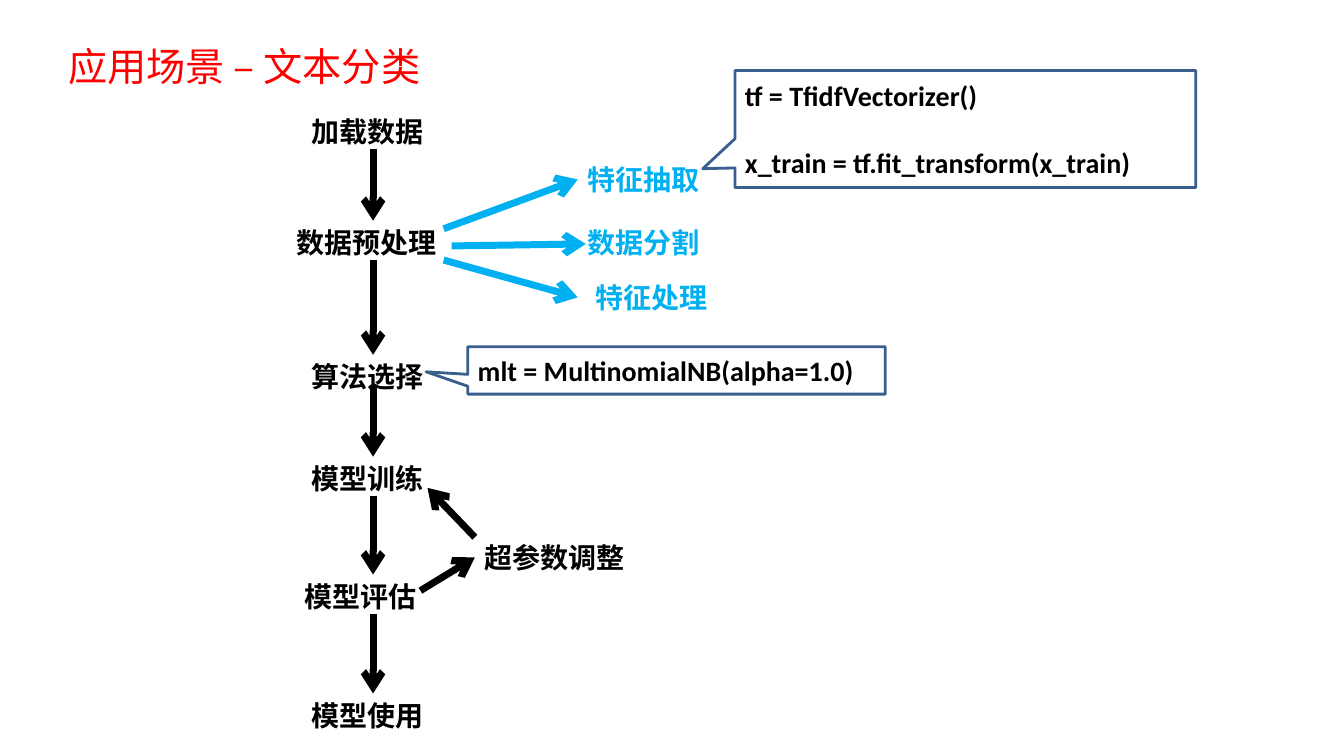
from lxml import etree
from pptx import Presentation
from pptx.dml.color import RGBColor
from pptx.enum.shapes import MSO_CONNECTOR, MSO_SHAPE
from pptx.enum.text import MSO_ANCHOR, MSO_AUTO_SIZE, PP_ALIGN
from pptx.oxml.ns import qn
from pptx.util import Inches, Pt

STRAIGHT = MSO_CONNECTOR.STRAIGHT
CALLOUT = MSO_SHAPE.RECTANGULAR_CALLOUT
MIDDLE = MSO_ANCHOR.MIDDLE
GROW = MSO_AUTO_SIZE.SHAPE_TO_FIT_TEXT
LEFT = PP_ALIGN.LEFT

BLACK = RGBColor(0, 0, 0)
WHITE = RGBColor(255, 255, 255)
RED = RGBColor(255, 0, 0)
SKY = RGBColor(0, 0xB0, 0xF0)
NAVY = RGBColor(0x3A, 0x5F, 0x8C)


class Board:
    def __init__(self, slide):
        self.shapes = slide.shapes
        self.face = "Calibri"
        self.size = 20

    def fill_text(self, para, text, color, size, face, bold):
        para.text = text
        para.alignment = LEFT
        font = para.font
        font.name, font.size, font.bold = face, Pt(size), bold
        font.color.rgb = color

    def label(self, text, x, y, w, color=BLACK, h=0.44, size=None, face=None, bold=True):
        box = self.shapes.add_textbox(Inches(x), Inches(y), Inches(w), Inches(h))
        frame = box.text_frame
        frame.word_wrap = False
        frame.auto_size = GROW
        self.fill_text(frame.paragraphs[0], text, color, size or self.size,
                       face or self.face, bold)

    def arrow(self, start, end, color=BLACK):
        link = self.shapes.add_connector(STRAIGHT, *map(Inches, start + end))
        link.line.color.rgb = color
        link.line.width = Pt(5)
        props = link._element.spPr
        etree.SubElement(props.find(qn("a:ln")), qn("a:tailEnd"), type="arrow")
        etree.SubElement(props, qn("a:effectLst"))

    def callout(self, lines, x, y, w, h, tip, gap=0):
        """Draw code in a callout; tip is its pointer's offset from the centre."""
        box = self.shapes.add_shape(CALLOUT, Inches(x), Inches(y), Inches(w), Inches(h))
        box.adjustments[0], box.adjustments[1] = tip
        box.shadow.inherit = False
        box.fill.solid()
        box.fill.fore_color.rgb = WHITE
        box.line.color.rgb = NAVY
        box.line.width = Pt(2)
        frame = box.text_frame
        frame.word_wrap = True
        frame.vertical_anchor = MIDDLE
        for i, text in enumerate(lines):
            para = frame.add_paragraph() if i else frame.paragraphs[0]
            self.fill_text(para, text, BLACK, self.size, self.face, True)
            if i:
                para.space_before = Pt(gap)


def main():
    deck = Presentation()
    deck.slide_width, deck.slide_height = Inches(13.33), Inches(7.5)
    board = Board(deck.slides.add_slide(deck.slide_layouts[6]))

    board.label("应用场景 – 文本分类", 0.58, 0.37, 3.79, RED, 0.57, 28,
                "Noto Sans CJK SC", False)

    steps = [
        ("加载数据", 2.99, 1.09, 1.33),
        ("数据预处理", 2.84, 2.19, 1.61),
        ("算法选择", 2.99, 3.52, 1.33),
        ("模型训练", 2.99, 4.53, 1.33),
        ("模型评估", 2.92, 5.7, 1.33),
        ("模型使用", 2.99, 6.88, 1.33),
    ]
    for step in steps:
        board.label(*step)
    tops = [step[2] for step in steps]
    for top, below in zip(tops, tops[1:]):
        # The arrow out of 算法选择 starts a little higher
        drop = 0.31 if top == 3.52 else 0.39
        board.arrow((3.7, top + drop), (3.7, below))

    for text, x, y, start, end in [
        ("特征抽取", 5.73, 1.56, (4.4, 2.27), (5.73, 1.78)),
        ("数据分割", 5.73, 2.19, (4.48, 2.44), (5.81, 2.42)),
        ("特征处理", 5.81, 2.73, (4.4, 2.58), (5.73, 2.95)),
    ]:
        board.label(text, x, y, 1.33, SKY)
        board.arrow(start, end, SKY)

    board.label("超参数调整", 4.71, 5.31, 1.61)
    board.arrow((4.17, 5.86), (4.71, 5.53))
    board.arrow((4.71, 5.33), (4.24, 4.84))

    board.callout(["tf = TfidfVectorizer()", "x_train = tf.fit_transform(x_train)"],
                  7.29, 0.7, 4.57, 1.16, (-0.57, 0.34), gap=24)
    board.callout(["mlt = MultinomialNB(alpha=1.0)"], 4.64, 3.44, 4.14, 0.47, (-0.6, 0.03))

    deck.save("out.pptx")


if __name__ == "__main__":
    main()
